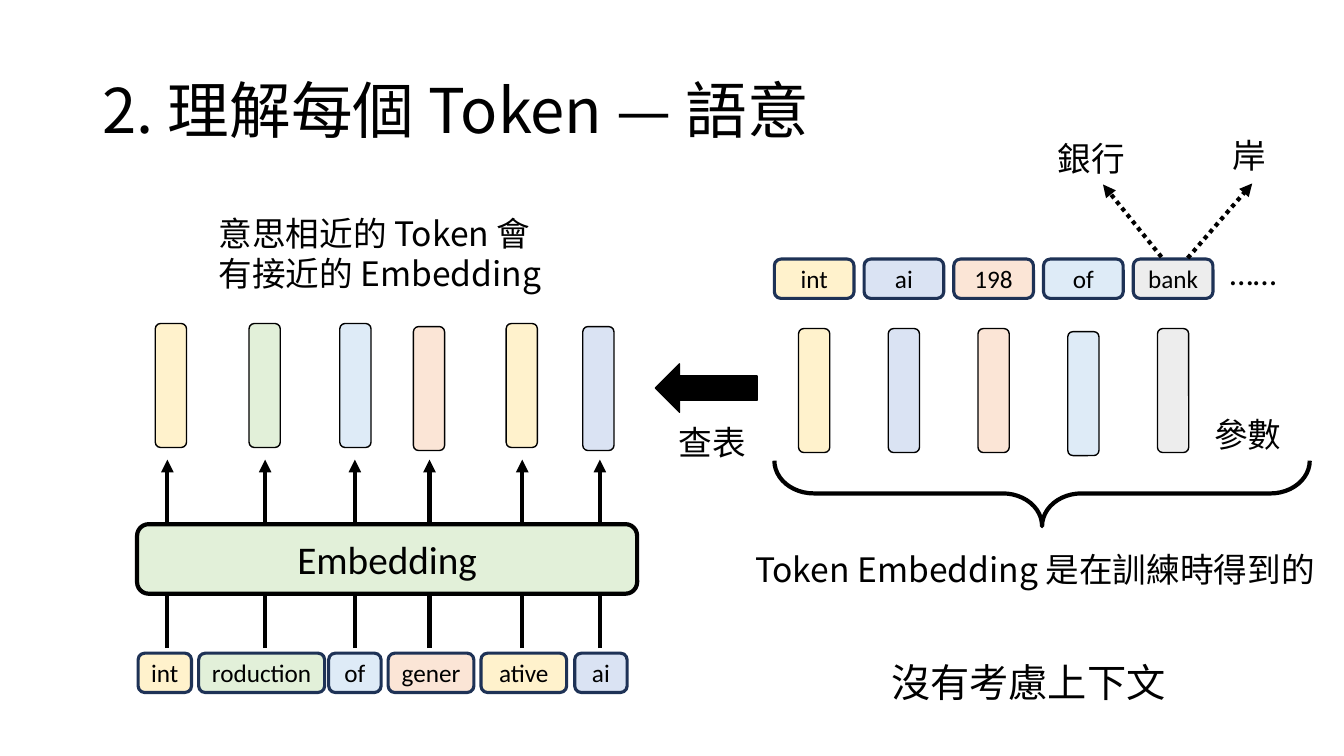
from lxml import etree
from pptx import Presentation
from pptx.dml.color import RGBColor
from pptx.enum.dml import MSO_LINE
from pptx.enum.shapes import MSO_CONNECTOR, MSO_SHAPE
from pptx.enum.text import MSO_ANCHOR, PP_ALIGN
from pptx.oxml.ns import qn
from pptx.util import Inches, Pt

ROUNDED = MSO_SHAPE.ROUNDED_RECTANGLE
LEFT_ARROW = MSO_SHAPE.LEFT_ARROW
RIGHT_BRACE = MSO_SHAPE.RIGHT_BRACE
STRAIGHT = MSO_CONNECTOR.STRAIGHT
DOTTED = MSO_LINE.ROUND_DOT
LEFT, CENTER = PP_ALIGN.LEFT, PP_ALIGN.CENTER
TOP, MIDDLE = MSO_ANCHOR.TOP, MSO_ANCHOR.MIDDLE

BLACK = RGBColor(0x00, 0x00, 0x00)
NAVY = RGBColor(0x1E, 0x32, 0x56)
YELLOW = RGBColor(0xFF, 0xF2, 0xCC)
GREEN = RGBColor(0xE2, 0xF0, 0xD9)
SKY = RGBColor(0xDE, 0xEB, 0xF7)
ORANGE = RGBColor(0xFB, 0xE5, 0xD6)
PERIWINKLE = RGBColor(0xDA, 0xE3, 0xF3)
GRAY = RGBColor(0xED, 0xED, 0xED)

LATIN_FONT = "Calibri"
CHINESE_FONT = "Noto Sans CJK SC"

# token, colour, token left, token width, vector left, vector top, arrow x
INPUT_TOKENS = [
    ("int", YELLOW, 1.37, 0.53, 1.54, 3.21, 1.66),
    ("roduction", GREEN, 1.97, 1.25, 2.47, 3.21, 2.63),
    ("of", SKY, 3.26, 0.52, 3.37, 3.21, 3.52),
    ("gener", ORANGE, 3.85, 0.85, 4.1, 3.24, 4.26),
    ("ative", YELLOW, 4.77, 0.85, 5.02, 3.21, 5.18),
    ("ai", PERIWINKLE, 5.7, 0.52, 5.78, 3.24, 5.95),
]
# token, colour, vector top
TABLE_TOKENS = [
    ("int", YELLOW, 3.26),
    ("ai", PERIWINKLE, 3.26),
    ("198", ORANGE, 3.26),
    ("of", SKY, 3.29),
    ("bank", GRAY, 3.26),
]
TABLE_LEFT, TABLE_PITCH = 7.68, 0.89
VECTOR_INSET = 0.24


class EmbeddingSlide:
    """Draws the elements of the diagram on one slide, with lengths in inches."""

    def __init__(self, slide):
        self.slide = slide

    def set_text(self, text_frame, text, size, font_name, alignment, anchor):
        text_frame.word_wrap = True
        text_frame.vertical_anchor = anchor
        text_frame.text = text
        paragraph = text_frame.paragraphs[0]
        paragraph.alignment = alignment
        for run in paragraph.runs:
            run.font.size = Pt(size)
            run.font.name = font_name
            run.font.color.rgb = BLACK
            east_asian = etree.SubElement(run.font._element, qn("a:ea"))
            east_asian.set("typeface", font_name)
        return paragraph

    def text(self, text, left, top, width, height, size=24,
             font_name=CHINESE_FONT, alignment=LEFT, anchor=TOP):
        box = self.slide.shapes.add_textbox(
            Inches(left), Inches(top), Inches(width), Inches(height))
        return self.set_text(box.text_frame, text, size, font_name, alignment, anchor)

    def shape(self, kind, left, top, width, height, fill, line=BLACK, line_width=1):
        shape = self.slide.shapes.add_shape(
            kind, Inches(left), Inches(top), Inches(width), Inches(height))
        shape.shadow.inherit = False
        if fill is None:
            shape.fill.background()
        else:
            shape.fill.solid()
            shape.fill.fore_color.rgb = fill
        shape.line.color.rgb = line
        shape.line.width = Pt(line_width)
        return shape

    def label(self, shape, text, size):
        shape.text_frame.margin_left = shape.text_frame.margin_right = 0
        self.set_text(shape.text_frame, text, size, LATIN_FONT, CENTER, MIDDLE)

    def token(self, text, left, top, width, fill):
        chip = self.shape(ROUNDED, left, top, width, 0.39, fill, NAVY, 2.25)
        self.label(chip, text, 18)

    def vector(self, left, top, fill):
        self.shape(ROUNDED, left, top, 0.31, 1.23, fill)

    def arrow(self, start_x, start_y, end_x, end_y, dash=None):
        connector = self.slide.shapes.add_connector(
            STRAIGHT, Inches(start_x), Inches(start_y), Inches(end_x), Inches(end_y))
        connector.line.color.rgb = BLACK
        connector.line.width = Pt(3)
        if dash is not None:
            connector.line.dash_style = dash
        properties = connector._element.spPr
        outline = properties.find(qn("a:ln"))
        etree.SubElement(outline, qn("a:tailEnd")).set("type", "triangle")
        etree.SubElement(properties, qn("a:effectLst"))


def draw_input_side(diagram):
    """Input tokens, the Embedding layer and the vectors above it."""
    diagram.text("意思相近的 Token 會有接近的 Embedding", 2.07, 2.06, 3.55, 0.91)
    for text, fill, left, width, vector_left, vector_top, arrow_x in INPUT_TOKENS:
        diagram.token(text, left, 6.48, width, fill)
        diagram.vector(vector_left, vector_top, fill)
        diagram.arrow(arrow_x, 6.43, arrow_x, 4.56)
    layer = diagram.shape(ROUNDED, 1.36, 5.2, 4.96, 0.69, GREEN, line_width=3)
    diagram.label(layer, "Embedding", 28)


def draw_lookup_table(diagram):
    """Tokens with their stored vectors, and the notes around them."""
    for index, (text, fill, vector_top) in enumerate(TABLE_TOKENS):
        left = TABLE_LEFT + index * TABLE_PITCH
        diagram.token(text, left, 2.57, 0.79, fill)
        diagram.vector(left + VECTOR_INSET, vector_top, fill)
    diagram.text("……", 12.1, 2.45, 1.38, 0.5, font_name=LATIN_FONT)
    diagram.text("參數", 11.77, 4.06, 1.21, 0.5, alignment=CENTER)

    diagram.shape(LEFT_ARROW, 6.5, 3.61, 1.01, 0.48, BLACK)
    diagram.text("查表", 6.46, 4.14, 1.21, 0.5, alignment=CENTER)

    brace = diagram.shape(RIGHT_BRACE, 10.01, 2.24, 0.65, 5.31, None, line_width=3)
    brace.adjustments[0] = 0.6
    brace.rotation = 90
    diagram.text("Token Embedding 是在訓練時得到的", 7.39, 5.4, 5.8, 0.5)
    diagram.text("沒有考慮上下文", 7.98, 6.48, 4.44, 0.57, size=28, alignment=CENTER)

    diagram.arrow(11.52, 2.55, 10.94, 1.83, DOTTED)
    diagram.arrow(11.78, 2.56, 12.42, 1.82, DOTTED)
    diagram.text("銀行", 10.26, 1.32, 1.13, 0.5, alignment=CENTER)
    diagram.text("岸", 11.83, 1.29, 1.13, 0.5, alignment=CENTER)


def main():
    presentation = Presentation()
    presentation.slide_width = Inches(13.33)
    presentation.slide_height = Inches(7.5)
    blank_layout = presentation.slide_layouts[6]
    diagram = EmbeddingSlide(presentation.slides.add_slide(blank_layout))

    title = diagram.text("2. 理解每個 Token — 語意", 0.92, 0.4, 11.5, 1.45,
                         size=44, anchor=MIDDLE)
    title.line_spacing = 0.9
    draw_input_side(diagram)
    draw_lookup_table(diagram)
    presentation.save("out.pptx")


if __name__ == "__main__":
    main()
